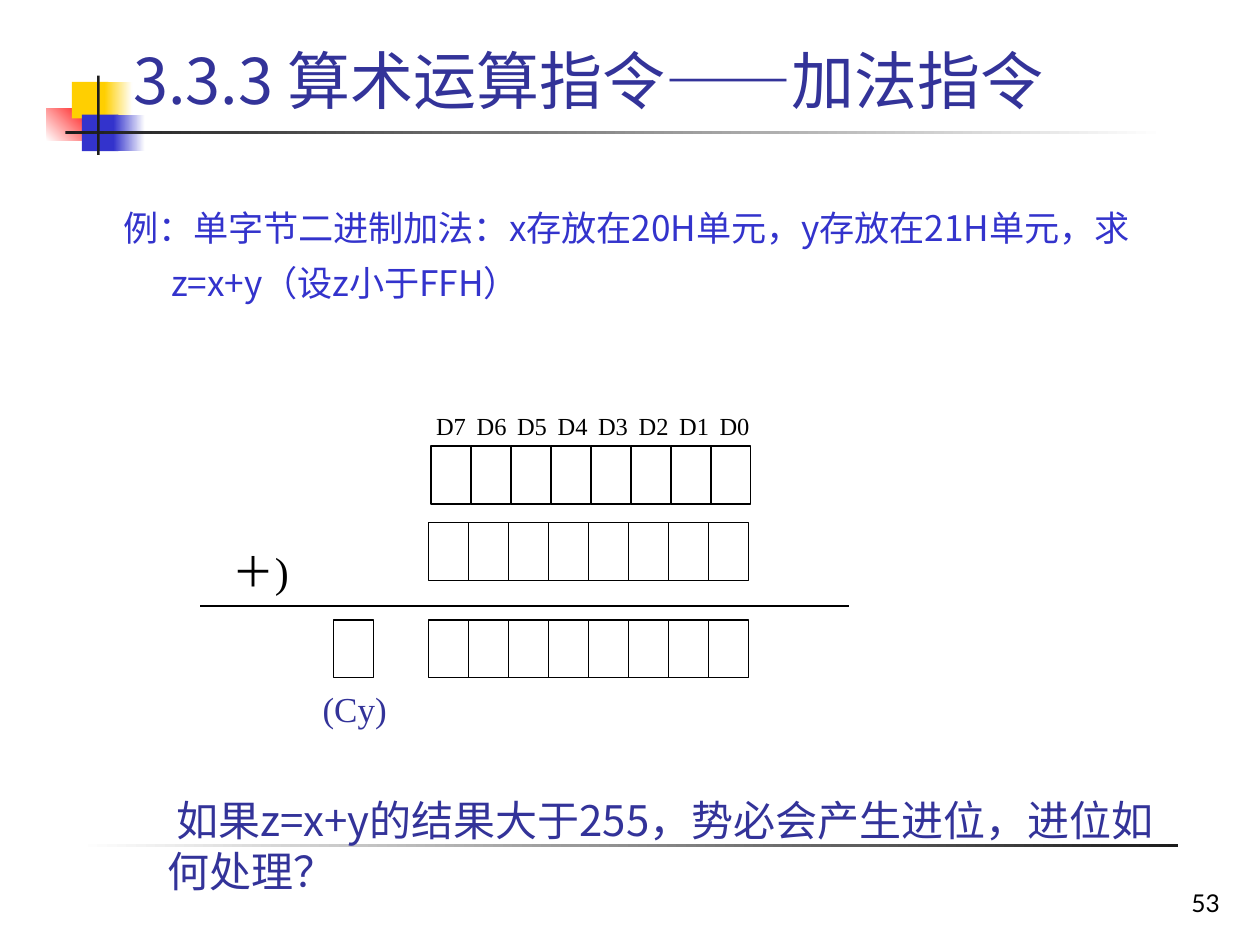
from lxml import etree
from pptx import Presentation
from pptx.dml.color import RGBColor
from pptx.enum import shapes, text
from pptx.oxml import ns
from pptx.util import Inches, Pt

COLORS = {
    "white": "FFFFFF", "red": "FF0000", "yellow": "FFCF01", "blue": "3333CC",
    "rule": "1C1C1C", "navy": "333399", "black": "000000",
}
SERIF, SANS, HEADING, NUMBER = "Times New Roman", "Noto Sans CJK SC", "Noto Sans CJK JP", "Lato"
EAST_ASIAN = {SERIF: HEADING}
BITS = 8
CELL_W, CELL_H = 2.54 / BITS, 0.46
RESULT_TOP = 4.92


def rgb(name):
    return RGBColor.from_string(COLORS[name])


def add_rect(slide, box):
    rect = slide.shapes.add_shape(shapes.MSO_SHAPE.RECTANGLE, *map(Inches, box))
    rect.shadow.inherit = False
    return rect


def add_block(slide, box, start, end=None, angle=0):
    """Borderless block, plain or fading from start to end."""
    block = add_rect(slide, box)
    block.line.fill.background()
    if end is None:
        block.fill.solid()
        block.fill.fore_color.rgb = rgb(start)
        return
    block.fill.gradient()
    block.fill.gradient_angle = angle
    for stop, color, position in zip(block.fill.gradient_stops, (start, end), (0, 1)):
        stop.color.rgb = rgb(color)
        stop.position = position


def add_cell(slide, left, top):
    cell = add_rect(slide, (left, top, CELL_W, CELL_H))
    cell.fill.background()
    cell.line.color.rgb = rgb("black")
    cell.line.width = Pt(0.75)


def add_register(slide, left, top):
    for bit in range(BITS):
        add_cell(slide, left + bit * CELL_W, top)


def add_text(slide, box, runs, size, color, align=text.PP_ALIGN.LEFT,
             anchor=text.MSO_ANCHOR.TOP, wrap=True):
    """Text box with one paragraph; runs are (words, font) pairs."""
    frame = slide.shapes.add_textbox(*map(Inches, box)).text_frame
    frame.word_wrap = wrap
    frame.auto_size = text.MSO_AUTO_SIZE.NONE if wrap else text.MSO_AUTO_SIZE.SHAPE_TO_FIT_TEXT
    frame.vertical_anchor = anchor
    paragraph = frame.paragraphs[0]
    paragraph.alignment = align
    for words, font in runs:
        run = paragraph.add_run()
        run.text = words
        run.font.size = Pt(size)
        run.font.color.rgb = rgb(color)
        run.font.name = font
        # East Asian characters take their own font element
        east_asian = etree.SubElement(run.font._element, ns.qn("a:ea"))
        east_asian.set("typeface", EAST_ASIAN.get(font, font))
    return paragraph


def set_layout(paragraph, first_line, spacing):
    properties = paragraph._p.get_or_add_pPr()
    properties.set("marL", str(Inches(0.38)))
    properties.set("indent", str(Inches(first_line)))
    properties.set("hangingPunct", "0")
    paragraph.line_spacing = spacing


def add_label(slide, box, words, size, color="black"):
    add_text(slide, box, [(words, SERIF)], size, color, text.PP_ALIGN.CENTER, wrap=False)


def add_decoration(slide):
    add_block(slide, (0.37, 0.86, 0.38, 0.26), "white", "red", 45)
    add_block(slide, (0.57, 0.65, 0.29, 0.29), "yellow")
    add_block(slide, (0.83, 0.65, 0.22, 0.29), "yellow", "white")
    add_block(slide, (0.65, 0.91, 0.29, 0.29), "blue")
    add_block(slide, (0.9, 0.91, 0.25, 0.29), "blue", "white")
    add_block(slide, (0.52, 1.04, 8.73, 0.02), "rule", "white")
    add_block(slide, (0.77, 0.6, 0.02, 0.63), "rule")
    add_block(slide, (0.62, 6.7, 8.73, 0.02), "white", "rule")


def add_addition(slide):
    # Operands and result
    add_register(slide, 3.42, 3.54)
    for top in (4.15, RESULT_TOP):
        add_register(slide, 3.4, top)
    for column in range(BITS):
        add_label(slide, (3.36 + column * 2.25 / 7, 3.21, 0.44, 0.34), f"D{BITS - 1 - column}", 14)

    # Plus sign and sum line
    add_label(slide, (1.57, 4.28, 1, 0.5), "＋)", 24)
    sum_line = slide.shapes.add_connector(
        shapes.MSO_CONNECTOR.STRAIGHT, Inches(1.59), Inches(4.81), Inches(6.74), Inches(4.81))
    sum_line.line.color.rgb = rgb("black")
    sum_line.line.width = Pt(0.75)
    etree.SubElement(sum_line._element.spPr, ns.qn("a:effectLst"))

    # Carry bit
    add_cell(slide, 2.65, RESULT_TOP)
    add_label(slide, (2.46, 5.41, 0.71, 0.44), "(Cy)", 20, "navy")


def main():
    deck = Presentation()
    deck.slide_width, deck.slide_height = Inches(10), Inches(7.5)
    slide = deck.slides.add_slide(deck.slide_layouts[6])

    add_decoration(slide)

    # Page number and title
    add_text(slide, (7.7, 6.83, 2.08, 0.5), [("53", NUMBER)], 14, "black",
             text.PP_ALIGN.RIGHT, text.MSO_ANCHOR.BOTTOM)
    add_text(slide, (0.96, 0.21, 8.32, 0.84),
             [("3.3.3 算术运算指令", HEADING), ("——", SERIF), ("加法指令", HEADING)],
             36, "navy", anchor=text.MSO_ANCHOR.MIDDLE)

    # Example
    example = add_text(
        slide, (0.88, 1.49, 8.3, 0.96),
        [("例：单字节二进制加法：x存放在20H单元，y存放在21H单元，求 z=x+y（设z小于FFH）", SANS)],
        20.1, "blue")
    set_layout(example, -0.38, 1.3)

    add_addition(slide)

    # Closing question
    question = add_text(
        slide, (0.85, 6.26, 8.5, 0.9),
        [("如果z=x+y的结果大于255，势必会产生进位，进位如何处理？", SANS)], 24, "navy")
    set_layout(question, 0.07, 1.0)

    deck.save("out.pptx")


if __name__ == "__main__":
    main()
